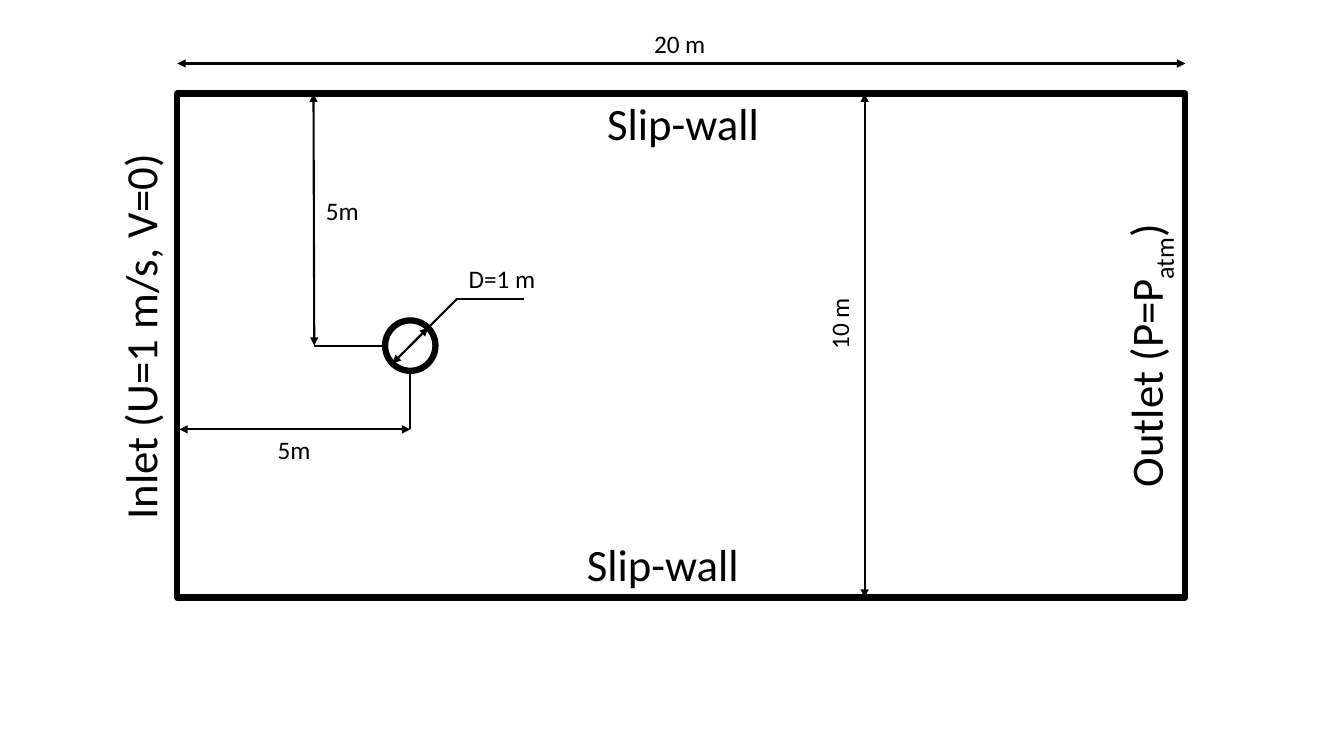
from dataclasses import dataclass

import pptx
import pptx.dml.color
import pptx.enum.shapes
import pptx.enum.text
import pptx.oxml.ns
import pptx.shapes.autoshape
import pptx.shapes.connector
import pptx.slide
import pptx.util
from lxml import etree

Cm = pptx.util.Cm
Pt = pptx.util.Pt
Shape = pptx.enum.shapes.MSO_SHAPE
Align = pptx.enum.text.PP_ALIGN


@dataclass(frozen=True)
class Theme:
    ink: pptx.dml.color.RGBColor = pptx.dml.color.RGBColor(0, 0, 0)
    paper: pptx.dml.color.RGBColor = pptx.dml.color.RGBColor(255, 255, 255)
    font: str = "Calibri"
    dimension_size: float = 18
    boundary_size: float = 32
    wall_width: float = 4.5
    line_width: float = 1.5


@dataclass(frozen=True)
class Outline:
    kind: pptx.enum.shapes.MSO_SHAPE
    left: float
    top: float
    width: float
    height: float


@dataclass(frozen=True)
class Rule:
    x1: float
    y1: float
    x2: float
    y2: float
    arrows: bool = False


@dataclass(frozen=True)
class Label:
    text: str
    left: float
    top: float
    width: float = 3.28
    height: float = 1.02
    size: float = Theme.dimension_size
    rotation: float = 0
    align: pptx.enum.text.PP_ALIGN = Align.CENTER
    subscript: str = ""
    ending: str = ""


THEME = Theme()
METRE = 1.27
LEFT, TOP = 4.47, 2.36
WIDTH, HEIGHT = 20 * METRE, 10 * METRE
BOTTOM = TOP + HEIGHT
CENTRE_X, CENTRE_Y = 10.34, TOP + 5 * METRE
RADIUS = METRE / 2
REACH = 0.45
LEADER = 1.18
SHELF_Y = CENTRE_Y - LEADER
HEIGHT_X, WIDTH_Y = 21.79, 1.6
OFFSET_X, OFFSET_Y = 7.92, 10.82
BOUNDARY = {"height": 1.63, "size": THEME.boundary_size}

OUTLINES = [
    Outline(Shape.RECTANGLE, LEFT, TOP, WIDTH, HEIGHT),
    Outline(Shape.OVAL, CENTRE_X - RADIUS, CENTRE_Y - RADIUS, METRE, METRE),
]

RULES = [
    Rule(HEIGHT_X, TOP, HEIGHT_X, BOTTOM, arrows=True),
    Rule(LEFT, WIDTH_Y, LEFT + WIDTH, WIDTH_Y, arrows=True),
    Rule(CENTRE_X + REACH, CENTRE_Y - REACH,
         CENTRE_X - REACH, CENTRE_Y + REACH, arrows=True),
    Rule(CENTRE_X, CENTRE_Y, CENTRE_X + LEADER, SHELF_Y),
    Rule(CENTRE_X + LEADER, SHELF_Y, 13.21, SHELF_Y),
    Rule(LEFT + 0.05, OFFSET_Y, CENTRE_X, OFFSET_Y, arrows=True),
    Rule(CENTRE_X, OFFSET_Y, CENTRE_X, CENTRE_Y + RADIUS),
    Rule(OFFSET_X, CENTRE_Y, CENTRE_X - RADIUS, CENTRE_Y),
    Rule(OFFSET_X - 0.02, TOP, OFFSET_X, CENTRE_Y, arrows=True),
]

LABELS = [
    Label("D=1 m", 11.56, 6.5, width=3.02, align=Align.LEFT),
    Label("20 m", 15.49, 0.58),
    Label("10 m", 19.51, 7.65, rotation=270),
    Label("5m", 5.77, OFFSET_Y),
    Label("5m", 6.99, 4.8),
    Label("Inlet (U=1 m/s, V=0)", -1.5, 7.67, width=10.06, rotation=270, **BOUNDARY),
    Label("Outlet (P=P", 24.71, 8.15, width=8.31, rotation=270,
          subscript="atm", ending=")", **BOUNDARY),
    Label("Slip-wall", 13.06, 2.29, width=8.31, **BOUNDARY),
    Label("Slip-wall", 12.55, 13.41, width=8.31, **BOUNDARY),
]


def draw_outline(page: pptx.slide.Slide, outline: Outline) -> None:
    shape = page.shapes.add_shape(
        outline.kind, Cm(outline.left), Cm(outline.top),
        Cm(outline.width), Cm(outline.height))
    shape.shadow.inherit = False
    shape.fill.solid()
    shape.fill.fore_color.rgb = THEME.paper
    shape.line.color.rgb = THEME.ink
    shape.line.width = Pt(THEME.wall_width)


def draw_rule(page: pptx.slide.Slide, rule: Rule) -> None:
    connector = page.shapes.add_connector(
        pptx.enum.shapes.MSO_CONNECTOR.STRAIGHT,
        Cm(rule.x1), Cm(rule.y1), Cm(rule.x2), Cm(rule.y2))
    connector.line.color.rgb = THEME.ink
    connector.line.width = Pt(THEME.line_width)
    if rule.arrows:
        line = connector.line._get_or_add_ln()
        for end in ("a:headEnd", "a:tailEnd"):
            etree.SubElement(line, pptx.oxml.ns.qn(end), type="triangle")
    properties = connector._element.spPr
    etree.SubElement(properties, pptx.oxml.ns.qn("a:effectLst"))


def add_text(para: pptx.text.text._Paragraph, text: str, *,
             size: float, baseline: int = 0) -> None:
    span = para.add_run()
    span.text = text
    span.font.name = THEME.font
    span.font.size = Pt(size)
    span.font.color.rgb = THEME.ink
    if baseline:
        span.font._element.set("baseline", str(baseline))


def draw_label(page: pptx.slide.Slide, label: Label) -> None:
    box = page.shapes.add_textbox(
        Cm(label.left), Cm(label.top), Cm(label.width), Cm(label.height))
    box.rotation = label.rotation
    box.text_frame.word_wrap = True
    box.text_frame.auto_size = pptx.enum.text.MSO_AUTO_SIZE.SHAPE_TO_FIT_TEXT
    para = box.text_frame.paragraphs[0]
    para.alignment = label.align
    add_text(para, label.text, size=label.size)
    if label.subscript:
        add_text(para, label.subscript, size=label.size, baseline=-25000)
        add_text(para, label.ending, size=label.size)


def main() -> None:
    deck = pptx.Presentation()
    deck.slide_width, deck.slide_height = Cm(33.87), Cm(19.05)
    page = deck.slides.add_slide(deck.slide_layouts[6])
    for outline in OUTLINES:
        draw_outline(page, outline)
    for rule in RULES:
        draw_rule(page, rule)
    for label in LABELS:
        draw_label(page, label)
    deck.save("out.pptx")


if __name__ == "__main__":
    main()
